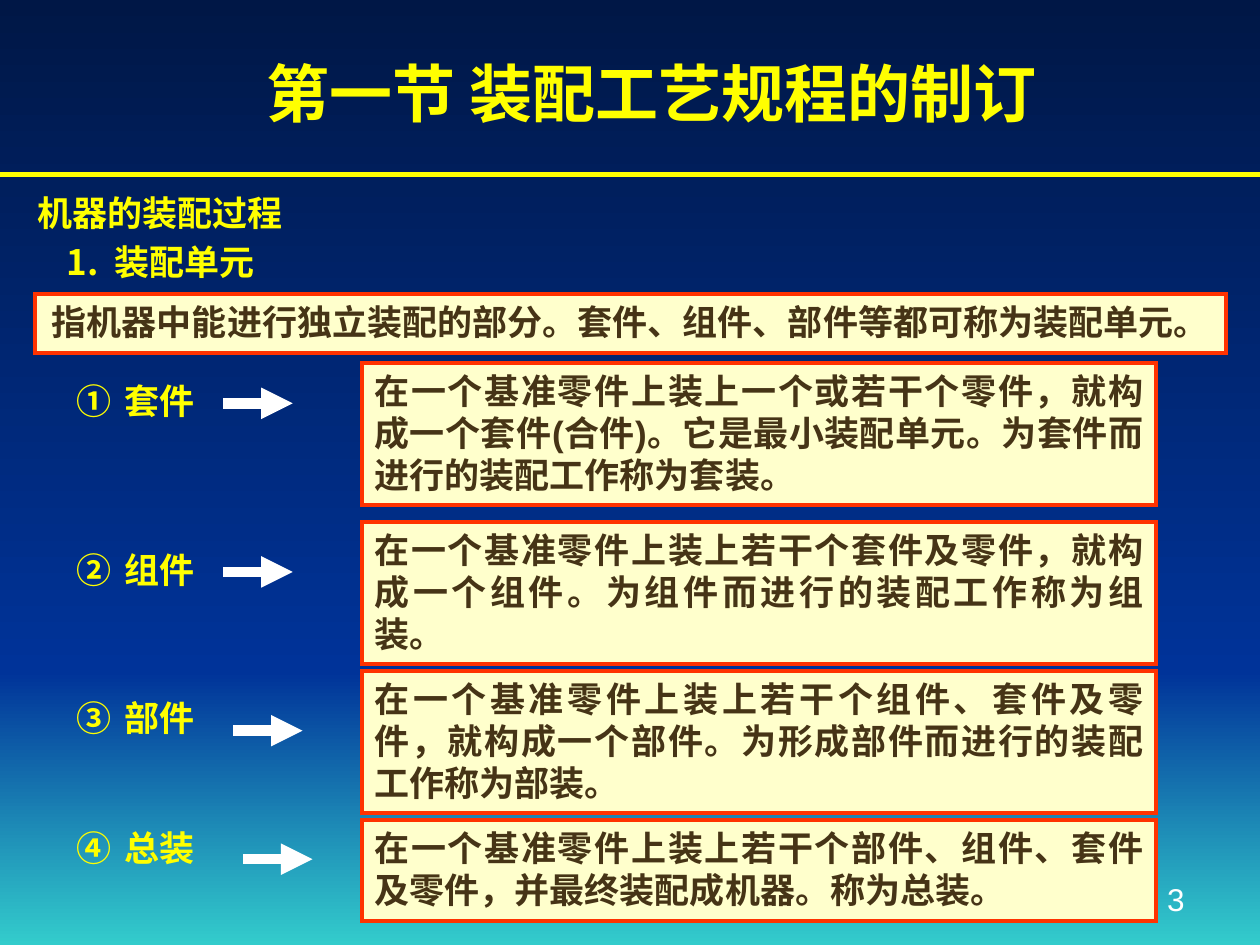
import pptx
import pptx.util
import pptx.dml.color
import pptx.enum.lang
import pptx.enum.shapes
import pptx.enum.text
import pptx.oxml.ns
import lxml.etree

Cm = pptx.util.Cm
Pt = pptx.util.Pt
RGB = pptx.dml.color.RGBColor
ALIGN = pptx.enum.text.PP_ALIGN
ANCHOR = pptx.enum.text.MSO_ANCHOR
SHAPE = pptx.enum.shapes.MSO_SHAPE
qn = pptx.oxml.ns.qn

NIGHT = RGB(0x00, 0x17, 0x46)
BLUE = RGB(0x00, 0x33, 0x99)
TEAL = RGB(0x33, 0xCC, 0xCC)
YELLOW = RGB(0xFF, 0xFF, 0x00)
WHITE = RGB(0xFF, 0xFF, 0xFF)
CREAM = RGB(0xFF, 0xFF, 0xCC)
RED = RGB(0xFF, 0x33, 0x00)
BROWN = RGB(0x46, 0x34, 0x16)

WIDE, HIGH = 25.4, 19.05
ROWS = [
    ("套件", 7.52, 7.32, 2.87, 4.5, 8.13,
     "在一个基准零件上装上一个或若干个零件，就构成一个套件(合件)。它是最小装配单元。为套件而进行的装配工作称为套装。"),
    ("组件", 10.94, 10.52, 2.87, 4.5, 11.53,
     "在一个基准零件上装上若干个套件及零件，就构成一个组件。为组件而进行的装配工作称为组装。"),
    ("部件", 13.92, 13.53, 2.87, 4.7, 14.73,
     "在一个基准零件上装上若干个组件、套件及零件，就构成一个部件。为形成部件而进行的装配工作称为部装。"),
    ("总装", 16.54, 16.54, 2.03, 4.9, 17.32,
     "在一个基准零件上装上若干个部件、组件、套件及零件，并最终装配成机器。称为总装。"),
]


def write(shape, text, color, size=20, align=ALIGN.LEFT, anchor=ANCHOR.TOP, bold=True):
    """Fill a shape with one styled paragraph and return it."""
    frame = shape.text_frame
    frame.word_wrap = True
    frame.vertical_anchor = anchor
    frame.text = text
    para = frame.paragraphs[0]
    para.alignment = align
    para._p.get_or_add_pPr().set("hangingPunct", "0")
    font = para.runs[0].font
    font.name, font.size, font.bold = "Arial", Pt(size), bold
    font.color.rgb = color
    font.language_id = pptx.enum.lang.MSO_LANGUAGE_ID.SIMPLIFIED_CHINESE
    return para


def label(slide, box, text, color=YELLOW, **style):
    """Add a text box and return its paragraph."""
    return write(slide.shapes.add_textbox(*map(Cm, box)), text, color, **style)


def number(para, kind, start=1):
    """Give a paragraph an automatic number with a hanging indent."""
    props = para._p.get_or_add_pPr()
    props.set("marL", str(Cm(0.97)))
    props.set("indent", str(-Cm(0.97)))
    mark = lxml.etree.SubElement(props, qn("a:buAutoNum"), type=kind)
    if start > 1:
        mark.set("startAt", str(start))


def panel(slide, box, text, align):
    """Add a cream box with a sharp red border."""
    shape = slide.shapes.add_shape(SHAPE.RECTANGLE, *map(Cm, box))
    shape.shadow.inherit = False
    shape.fill.solid()
    shape.fill.fore_color.rgb = CREAM
    shape.line.color.rgb = RED
    shape.line.width = Pt(2.25)
    lxml.etree.SubElement(shape.line._ln, qn("a:miter"), lim="800000")
    write(shape, text, BROWN, align=align)


def rule(slide, left, right, top, color, width, arrow=False):
    """Draw a level line, with an arrowhead if asked."""
    line = slide.shapes.add_connector(
        pptx.enum.shapes.MSO_CONNECTOR.STRAIGHT, Cm(left), Cm(top), Cm(right), Cm(top))
    line.line.color.rgb = color
    line.line.width = Pt(width)
    if arrow:
        lxml.etree.SubElement(line.line._ln, qn("a:tailEnd"), type="triangle")
    lxml.etree.SubElement(line._element.spPr, qn("a:effectLst"))


def band(slide, top, height, first, last):
    """Add a full-width band that shades downward."""
    shape = slide.shapes.add_shape(SHAPE.RECTANGLE, 0, Cm(top), Cm(WIDE), Cm(height))
    shape.shadow.inherit = False
    shape.line.fill.background()
    shape.fill.gradient()
    shape.fill.gradient_angle = 270
    for stop, color in zip(shape.fill.gradient_stops, (first, last)):
        stop.color.rgb = color


def scene(slide, split):
    """Paint the backdrop in two bands that meet at the split."""
    band(slide, split, HIGH - split, BLUE, TEAL)
    band(slide, 0, split, NIGHT, BLUE)
    rule(slide, 0, WIDE, 3.52, YELLOW, 3)


def head(slide, left, top):
    """Place the title, the two headings and the definition."""
    label(slide, (left + 1.2, top, 22.86, 2.29), "第一节 装配工艺规程的制订",
          size=36, align=ALIGN.CENTER, anchor=ANCHOR.MIDDLE)
    label(slide, (left, top + 3.02, 11.61, 1.09), "机器的装配过程")
    unit = label(slide, (left + 0.58, top + 4.01, 8.41, 1.09), "装配单元")
    number(unit, "arabicPeriod")
    panel(slide, (left + 0.2, top + 5.22, 24, 1.19),
          "指机器中能进行独立装配的部分。套件、组件、部件等都可称为装配单元。", ALIGN.CENTER)


def terms(slide, left):
    """Place each numbered term, its arrow and its meaning."""
    for count, (name, high, top, tall, start, level, text) in enumerate(ROWS, 1):
        number(label(slide, (left, high, 3.61, 1.09), name), "circleNumDbPlain", count)
        panel(slide, (left + 6, top, 16, tall), text, ALIGN.JUSTIFY)
        rule(slide, start, start + 1.4, level, WHITE, 6, arrow=True)


deck = pptx.Presentation()
deck.slide_width, deck.slide_height = Cm(WIDE), Cm(HIGH)
page = deck.slides.add_slide(deck.slide_layouts[6])
scene(page, 13.54)
head(page, 0.51, 0.71)
terms(page, 1.3)
label(page, (18.21, 17.35, 5.92, 1.27), "3", WHITE, size=18,
      align=ALIGN.RIGHT, anchor=ANCHOR.BOTTOM, bold=False)
deck.save("out.pptx")
